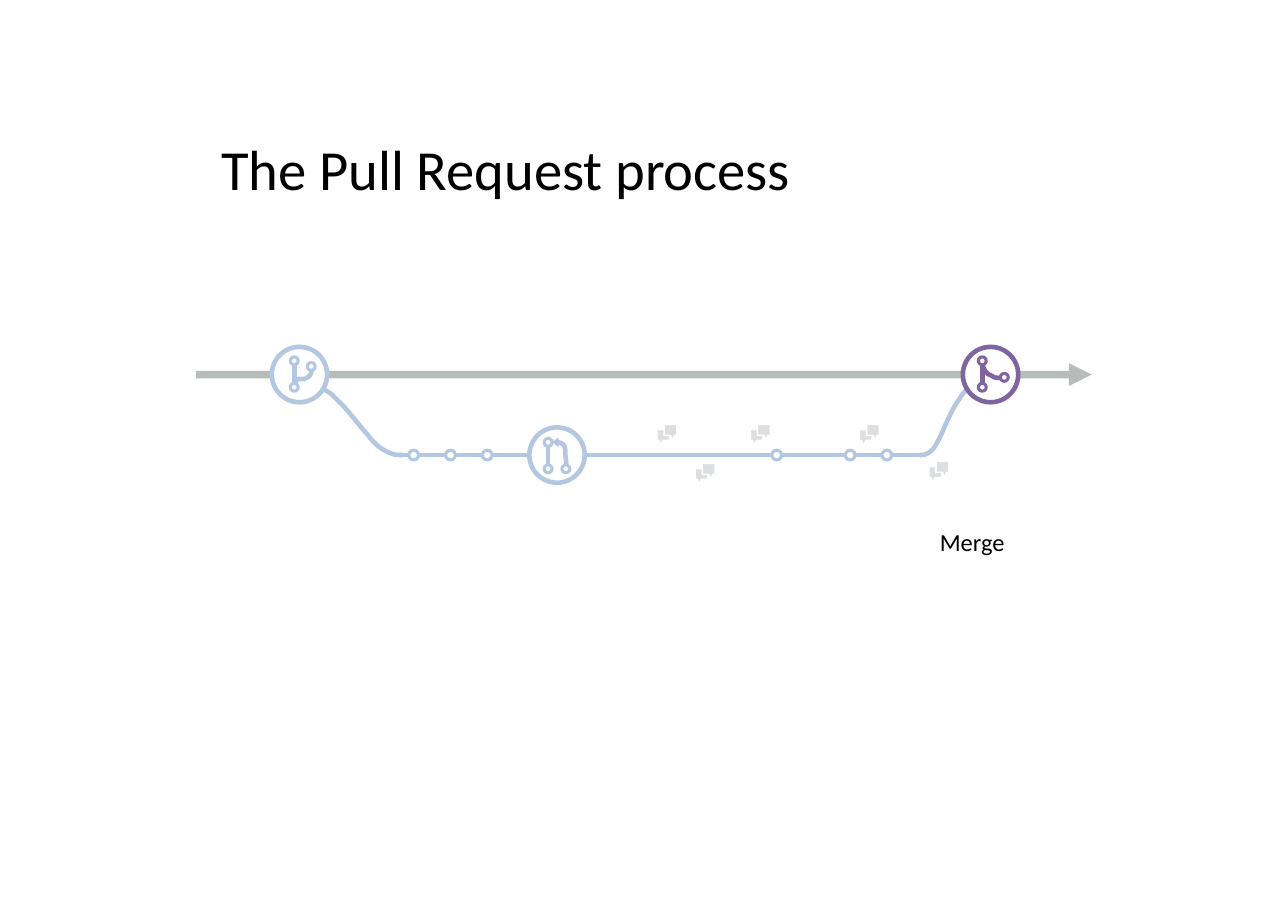
from itertools import pairwise

from lxml.etree import SubElement
from pptx import Presentation
from pptx.dml.color import RGBColor
from pptx.enum.shapes import MSO_CONNECTOR, MSO_SHAPE
from pptx.enum.text import MSO_ANCHOR, PP_ALIGN
from pptx.oxml.ns import qn
from pptx.util import Pt

BLUE, PURPLE, GRAY = "B3C8E0", "8064A2", "A6AAA9"
PALE, WHITE, BLACK = "DCDEE0", "FFFFFF", "000000"

MAIN_Y, BRANCH_Y = 244.8, 297.4
FORK_X, REQUEST_X, MERGE_X = 195.7, 364, 647.3
BRANCH_START, BRANCH_END = 263.5, 601.2
ICON_RADIUS, COMMIT_RADIUS, DOT_RADIUS = 18.1, 3.2, 2.6
COMMIT_STEP = 24
COMMITS = ([270.4 + COMMIT_STEP * step for step in (0, 1, 2)]
           + [507.6 + COMMIT_STEP * step for step in (0, 2, 3)])
COMMENTS = [(429.3, 277.3), (490.3, 277.3), (561.6, 277.3),
            (454.3, 302.8), (607, 301.5)]

# Curves are a start point followed by cubic segments of three points each
FORK_CURVE = [(211, 254.2), (213.8, 255.6), (217.4, 257.8), (219.6, 260.6),
              (227.5, 267.8), (233.3, 276.5), (240.5, 284.4),
              (244.8, 290.2), (249.8, 294.5), (256.3, 296.6),
              (258.5, 297.4), (260.6, 297.4), (BRANCH_START, BRANCH_Y)]
MERGE_CURVE = [(632.2, 254.2), (630.7, 255.6), (628.6, 257.8), (627.1, 260.6),
               (622.1, 267.1), (618.5, 276.5), (614.9, 284.4),
               (612, 290.2), (609.8, 295.2), (605.5, 296.6),
               (604.1, 297.4), (602.6, 297.4), (BRANCH_END, BRANCH_Y)]

# Icon parts, measured from the centre of each icon
FORK_DOTS = [(7.7, -5.3), (-3.4, -9), (-3.4, 8.3)]
FORK_ARC = [(7.9, -2.9), (7.9, 0), (5.8, 2.2), (2.9, 2.9),
            (1.4, 2.9), (0, 2.9), (-0.7, 2.9),
            (-2.2, 3.6), (-2.9, 5), (-2.9, 5.8)]
REQUEST_DOTS = [(5.8, 9), (-5.8, -8.3), (-5.8, 9)]
REQUEST_ARC = [(0.4, -7.9), (1.1, -8.6), (1.8, -7.9), (2.5, -7.9),
               (4, -7.2), (4.7, -6.5), (4.7, -5.8),
               (5.4, -5), (5.4, -3.6), (5.4, -2.2),
               (5.4, 0.7), (6.1, 3.6), (6.1, 6.5)]
REQUEST_ARROW = [(-3.2, -8.6), (1.1, -11.5), (1.1, -5)]
MERGE_DOTS = [(9, 1.8), (-5.4, -9), (-5.4, 8.3)]
MERGE_ARC = [(-5, -5.8), (-4.3, -2.9), (-2.2, 0), (0.7, 0.7),
             (2.2, 2.2), (4.3, 2.2), (6.5, 2.2)]
BUBBLE = [(0, 0), (8.4, 0), (8.4, 7.2), (4.1, 7.2), (2.8, 10.8),
          (1.5, 7.2), (0, 7.2)]


def color(hex_string):
    return RGBColor.from_string(hex_string)


def paint(shape, fill=None, line=None, width=1):
    shape.shadow.inherit = False
    if fill:
        shape.fill.solid()
        shape.fill.fore_color.rgb = color(fill)
    else:
        shape.fill.background()
    if line:
        shape.line.color.rgb = color(line)
        shape.line.width = Pt(width)
    else:
        shape.line.fill.background()


def shift(points, x, y):
    return [(x + dx, y + dy) for dx, dy in points]


def add_circle(slide, x, y, radius, line, width, fill=None):
    circle = slide.shapes.add_shape(
        MSO_SHAPE.OVAL, Pt(x - radius), Pt(y - radius),
        Pt(2 * radius), Pt(2 * radius))
    paint(circle, fill, line, width)


def add_line(slide, start, end, line, width):
    connector = slide.shapes.add_connector(
        MSO_CONNECTOR.STRAIGHT, *map(Pt, start + end))
    connector.line.color.rgb = color(line)
    connector.line.width = Pt(width)
    SubElement(connector._element.spPr, qn("a:effectLst"))
    return connector


def add_outline(slide, points, close, **style):
    first, *rest = [(Pt(x), Pt(y)) for x, y in points]
    builder = slide.shapes.build_freeform(*first, scale=1.0)
    builder.add_line_segments(rest, close=close)
    paint(builder.convert_to_shape(), **style)


def add_curve(slide, controls, line, steps=10):
    points = [controls[0]]
    for index in range(0, len(controls) - 1, 3):
        a, b, c, d = controls[index:index + 4]
        for step in range(1, steps + 1):
            t = step / steps
            weights = ((1 - t) ** 3, 3 * t * (1 - t) ** 2,
                       3 * t ** 2 * (1 - t), t ** 3)
            points.append(tuple(
                sum(weight * value for weight, value in zip(weights, axis))
                for axis in zip(a, b, c, d)))
    add_outline(slide, points, False, line=line, width=3)


def add_icon(slide, x, y, dots, arc, line, fill=None):
    add_circle(slide, x, y, ICON_RADIUS, line, 3, fill)
    for dot_x, dot_y in shift(dots, x, y):
        add_circle(slide, dot_x, dot_y, DOT_RADIUS, line, 2)
    stem_x = x + dots[-1][0]
    add_line(slide, (stem_x, y + 6), (stem_x, y - 6.2), line, 3)
    add_curve(slide, shift(arc, x, y), line)


def add_comment(slide, x, y):
    mirrored = [(8.4 - dx, dy) for dx, dy in BUBBLE]
    for points in (shift(BUBBLE, x, y + 3.4), shift(mirrored, x + 4.7, y)):
        add_outline(slide, points, True, fill=PALE, line=WHITE, width=1)


def add_main_line(slide):
    connector = add_line(slide, (128.2, MAIN_Y), (713.5, MAIN_Y), GRAY, 5)
    line = connector.line._get_or_add_ln()
    SubElement(line.find(".//" + qn("a:srgbClr")), qn("a:alpha"), val="80000")
    SubElement(line, qn("a:tailEnd"), type="triangle")


def add_branch_line(slide):
    stops = sorted([(BRANCH_START, 0), (REQUEST_X, ICON_RADIUS), (BRANCH_END, 0)]
                   + [(x, COMMIT_RADIUS) for x in COMMITS])
    for (left, left_radius), (right, right_radius) in pairwise(stops):
        add_line(slide, (left + left_radius, BRANCH_Y),
                 (right - right_radius, BRANCH_Y), BLUE, 3)
    for x in COMMITS:
        add_circle(slide, x, BRANCH_Y, COMMIT_RADIUS, BLUE, 2)


def write_text(shape, text, size, box, left_margin=2.2):
    shape.left, shape.top, shape.width, shape.height = map(Pt, box)
    frame = shape.text_frame
    frame.word_wrap = True
    frame.vertical_anchor = MSO_ANCHOR.MIDDLE
    frame.margin_left = Pt(left_margin)
    frame.margin_top = frame.margin_right = frame.margin_bottom = Pt(2.2)
    paragraph = frame.paragraphs[0]
    paragraph.alignment = PP_ALIGN.LEFT
    run = paragraph.add_run()
    run.text = text
    run.font.name = "Calibri"
    run.font.size = Pt(size)
    run.font.color.rgb = color(BLACK)


def main():
    presentation = Presentation()
    presentation.slide_width, presentation.slide_height = Pt(841.68), Pt(594.72)
    slide = presentation.slides.add_slide(presentation.slide_layouts[5])

    # Title, indented to the start of its text
    write_text(slide.shapes.title, "The Pull Request process", 37,
               (133.9, 67.7, 574.6, 84.2), left_margin=10.6)

    # Main line and merge
    add_curve(slide, MERGE_CURVE, BLUE)
    add_main_line(slide)
    add_icon(slide, MERGE_X, MAIN_Y, MERGE_DOTS, MERGE_ARC, PURPLE, WHITE)

    # Branch with commits and pull request
    add_curve(slide, FORK_CURVE, BLUE)
    add_branch_line(slide)
    add_icon(slide, REQUEST_X, BRANCH_Y, REQUEST_DOTS, REQUEST_ARC, BLUE)
    add_outline(slide, shift(REQUEST_ARROW, REQUEST_X, BRANCH_Y), True, fill=BLUE)
    add_icon(slide, FORK_X, MAIN_Y, FORK_DOTS, FORK_ARC, BLUE, WHITE)

    # Review comments
    for x, y in COMMENTS:
        add_comment(slide, x, y)

    # Step label
    box = (612, 344.9, 72.7, 18.7)
    write_text(slide.shapes.add_textbox(*map(Pt, box)), "Merge", 16, box)

    presentation.save("out.pptx")


if __name__ == "__main__":
    main()
